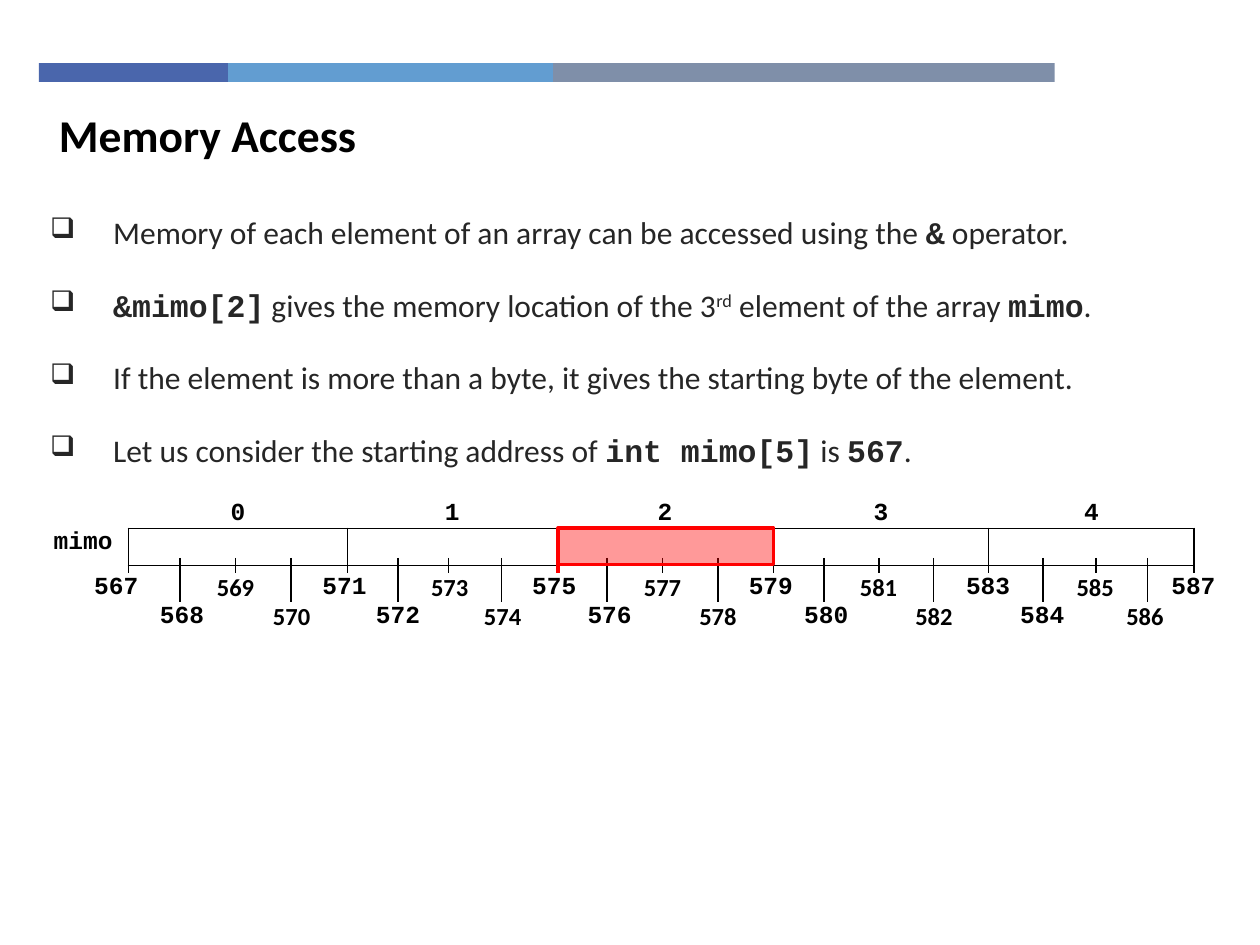
from typing import NamedTuple

from lxml import etree
from pptx import Presentation
from pptx.dml.color import RGBColor
from pptx.enum.shapes import MSO_CONNECTOR, MSO_SHAPE
from pptx.enum.text import MSO_ANCHOR, PP_ALIGN
from pptx.oxml.ns import qn
from pptx.util import Inches, Pt

RECT, STRAIGHT = MSO_SHAPE.RECTANGLE, MSO_CONNECTOR.STRAIGHT
CENTER, JUSTIFY, MIDDLE = PP_ALIGN.CENTER, PP_ALIGN.JUSTIFY, MSO_ANCHOR.MIDDLE
BLACK = RGBColor(0x00, 0x00, 0x00)
BODY = RGBColor(0x26, 0x26, 0x26)
RED = RGBColor(0xFF, 0x00, 0x00)
NAVY = RGBColor(0x4A, 0x66, 0xAC)
SKY = RGBColor(0x62, 0x9D, 0xD1)
SLATE = RGBColor(0x7F, 0x8F, 0xA9)
SANS, MONO = "Calibri", "Courier New"
NO_GRID_STYLE = "{2D5ABB26-0587-4C30-8999-92F81FD0307C}"


class Bar(NamedTuple):
    left: float
    width: float
    color: RGBColor


class Span(NamedTuple):
    text: str
    font: str = SANS
    raised: bool = False


def code(text: str) -> Span:
    return Span(text, MONO)


BARS = [Bar(0.31, 1.5, NAVY), Bar(1.81, 2.58, SKY), Bar(4.39, 3.98, SLATE)]
BULLETS = [
    [Span("Memory of each element of an array can be accessed using the "),
     code("&"), Span(" operator.")],
    [code("&mimo[2]"), Span(" gives the memory location of the 3"),
     Span("rd", raised=True), Span(" element of the array "), code("mimo"), Span(".")],
    [Span("If the element is more than a byte, it gives the starting byte of the element.")],
    [Span("Let us consider the starting address of "), code("int mimo[5]"),
     Span(" is "), code("567"), Span(".")],
]
COLUMNS = [0.72, 0.41, 0.44, 0.44, 0.45, 0.4, 0.4, 0.42, 0.44, 0.4, 0.44,
           0.44, 0.44, 0.4, 0.44, 0.43, 0.44, 0.43, 0.42, 0.41, 0.37, 0.36]
ROWS = [0.23, 0.23, 0.06, 0.06, 0.23, 0.23, 0]
LAST = len(COLUMNS) - 1
ELEMENTS, INT_BYTES, START = 5, 4, 567


def style_run(r, font: str, size: float, color: RGBColor, bold: bool) -> None:
    r.font.name, r.font.size, r.font.bold = font, Pt(size), bold
    r.font.color.rgb = color


def add_rect(s, left: float, top: float, width: float, height: float, color: RGBColor):
    sp = s.shapes.add_shape(RECT, Inches(left), Inches(top), Inches(width), Inches(height))
    sp.shadow.inherit = False
    sp.fill.solid()
    sp.fill.fore_color.rgb = color
    sp.line.fill.background()
    return sp


def add_text_frame(s, left: float, top: float, width: float, height: float):
    tf = s.shapes.add_textbox(Inches(left), Inches(top), Inches(width),
                              Inches(height)).text_frame
    tf.word_wrap = True
    return tf


def add_bullet(p, spans: list[Span]) -> None:
    p.alignment, p.space_before = JUSTIFY, Pt(20)
    pPr = p._p.get_or_add_pPr()
    pPr.set("marL", str(Inches(0.5)))
    pPr.set("indent", str(-Inches(0.5)))
    etree.SubElement(pPr, qn("a:buSzPct")).set("val", "90000")
    etree.SubElement(pPr, qn("a:buChar")).set("char", "\u2751")
    for span in spans:
        r = p.add_run()
        r.text = span.text
        style_run(r, span.font, 18, BODY, span.font == MONO)
        if span.raised:
            r._r.get_or_add_rPr().set("baseline", "30000")


def set_borders(cell, sides: str) -> None:
    """Draw the named sides and switch the other ones off."""
    tcPr = cell._tc.get_or_add_tcPr()
    for i, side in enumerate("LRTB"):
        ln = etree.Element(qn(f"a:ln{side}"), w=str(Pt(1)))
        if side in sides:
            fill = etree.SubElement(ln, qn("a:solidFill"))
            etree.SubElement(fill, qn("a:srgbClr")).set("val", str(BLACK))
        else:
            etree.SubElement(ln, qn("a:noFill"))
        tcPr.insert(i, ln)


def fill_cell(table, row: int, col: int, span: int = 1, text: str = "",
              font: str = MONO, sides: str = "") -> None:
    cell, end = table.cell(row, col), col + span - 1
    if span > 1:
        cell.merge(table.cell(row, end))
    for c in range(col, end + 1):
        inner = ("" if c == col else "L") + ("" if c == end else "R")
        set_borders(table.cell(row, c), "".join(x for x in sides if x not in inner))
    if text:
        p = cell.text_frame.paragraphs[0]
        p.text, p.alignment = text, CENTER
        style_run(p.runs[0], font, 14, BLACK, True)


prs = Presentation()
prs.slide_width, prs.slide_height = Inches(10), Inches(7.5)
s = prs.slides.add_slide(prs.slide_layouts[6])

# Header bars
for bar in BARS:
    add_rect(s, bar.left, 0.5, bar.width, 0.15, bar.color)

# Bullets
tf = add_text_frame(s, 0.3, 1.64, 9.35, 5.74)
for i, spans in enumerate(BULLETS):
    add_bullet(tf.add_paragraph() if i else tf.paragraphs[0], spans)

# Memory table
table = s.shapes.add_table(len(ROWS), len(COLUMNS), Inches(0.3), Inches(3.96),
                           Inches(sum(COLUMNS)), Inches(sum(ROWS))).table
table.first_row = table.horz_banding = False
table._tbl.tblPr.find(qn("a:tableStyleId")).text = NO_GRID_STYLE
for column, width in zip(table.columns, COLUMNS):
    column.width = Inches(width)
for row, height in zip(table.rows, ROWS):
    row.height = Inches(height)
for cell in table.iter_cells():
    cell.fill.background()
    cell.vertical_anchor = MIDDLE
    cell.margin_left = cell.margin_right = cell.margin_top = cell.margin_bottom = 0
    end = etree.SubElement(cell.text_frame.paragraphs[0]._p, qn("a:endParaRPr"))
    end.set("sz", "100")

# Outer columns
for row in (0, 5, 6):
    for col in (0, LAST):
        fill_cell(table, row, col)
for row, label in ((1, "mimo"), (2, ""), (3, "")):
    fill_cell(table, row, 0, text=label, sides="R")
    fill_cell(table, row, LAST, sides="L")

# Array elements with their indexes
for index in range(ELEMENTS):
    col = 1 + index * INT_BYTES
    fill_cell(table, 0, col, INT_BYTES, str(index), sides="B")
    fill_cell(table, 1, col, INT_BYTES, sides="LTR")
    fill_cell(table, 6, col, INT_BYTES)

# Byte ticks
for row, sides in ((2, "LRB"), (3, "LTR")):
    for col in range(1, LAST):
        fill_cell(table, row, col, sides=sides)

# Byte addresses, alternating between two rows
for offset in range(ELEMENTS * INT_BYTES + 1):
    lower = offset % 2
    text = str(START + offset) if offset else f"\u00a0{START}"
    sides = "" if lower else "R" if offset == 0 else "L" if offset == LAST - 1 else "LR"
    fill_cell(table, 4 + lower, offset, 2, text,
              MONO if offset % 4 < 2 else SANS, sides)

# Highlighted element
tick = s.shapes.add_connector(STRAIGHT, Inches(4.43), Inches(4.19),
                              Inches(4.43), Inches(4.55))
tick.line.color.rgb, tick.line.width = RED, Pt(2.25)
etree.SubElement(tick._element.spPr, qn("a:effectLst"))
highlight = add_rect(s, 4.43, 4.19, 1.71, 0.29, RED)
highlight.line.color.rgb, highlight.line.width = RED, Pt(2)
color = highlight._element.spPr.find(qn("a:solidFill")).find(qn("a:srgbClr"))
etree.SubElement(color, qn("a:alpha")).set("val", "40000")

# Title
p = add_text_frame(s, 0.37, 0.8, 7.16, 0.54).paragraphs[0]
p.text, p.space_before = "Memory Access", Pt(20)
style_run(p.runs[0], SANS, 26, BLACK, True)

prs.save("out.pptx")
